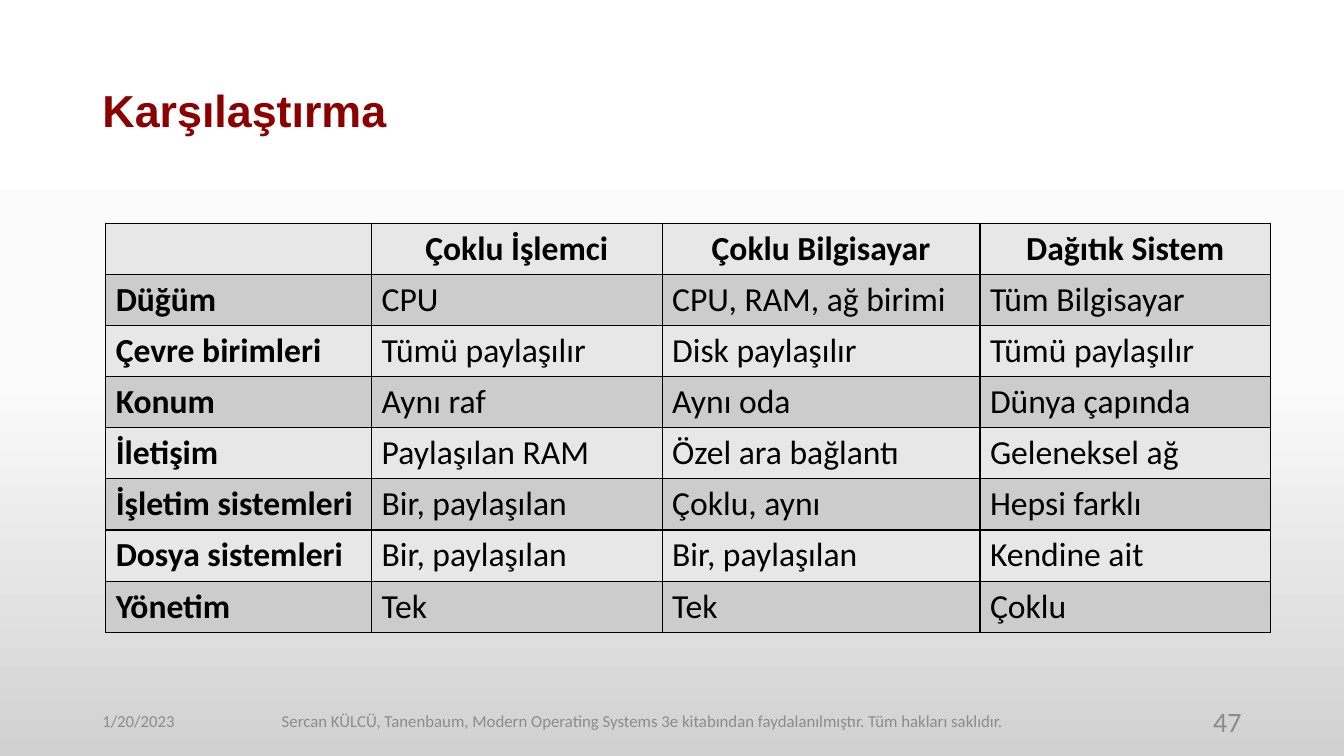
from copy import deepcopy
from itertools import product
from lxml import etree
from pptx import Presentation
from pptx.dml.color import RGBColor
from pptx.enum import text
from pptx.oxml import ns
from pptx.util import Pt

HEADING = "Karşılaştırma"
COMPARISON = [
    ("", "Çoklu İşlemci", "Çoklu Bilgisayar", "Dağıtık Sistem"),
    ("Düğüm", "CPU", "CPU, RAM, ağ birimi", "Tüm Bilgisayar"),
    ("Çevre birimleri", "Tümü paylaşılır", "Disk paylaşılır", "Tümü paylaşılır"),
    ("Konum", "Aynı raf", "Aynı oda", "Dünya çapında"),
    ("İletişim", "Paylaşılan RAM", "Özel ara bağlantı", "Geleneksel ağ"),
    ("İşletim sistemleri", "Bir, paylaşılan", "Çoklu, aynı", "Hepsi farklı"),
    ("Dosya sistemleri", "Bir, paylaşılan", "Bir, paylaşılan", "Kendine ait"),
    ("Yönetim", "Tek", "Tek", "Çoklu"),
]
COLUMN_WIDTHS = [190, 207.5, 227, 207.5]
ROW_HEIGHT = 36.5
BAND_FILLS = ["E7E7E7", "CCCCCC"]
BACKGROUND = [(0, "FFFFFF"), (0.5, "FBFBFB"), (1, "D1D1D1")]
LEFT, CENTER, RIGHT = text.PP_ALIGN.LEFT, text.PP_ALIGN.CENTER, text.PP_ALIGN.RIGHT
FOOTERS = [
    ("1/20/2023", 66, 216, 12, LEFT),
    ("Sercan KÜLCÜ, Tanenbaum, Modern Operating Systems 3e kitabından "
     "faydalanılmıştır. Tüm hakları saklıdır.", 186, 546, 12, CENTER),
    ("47", 678, 216, 20, RIGHT),
]


def color(value):
    return RGBColor.from_string(value)


def write(frame, words, size, ink, align=LEFT, bold=False, face="Calibri"):
    line = frame.paragraphs[0]
    line.text = words
    line.alignment = align
    line.font.size = Pt(size)
    line.font.name = face
    line.font.bold = bold
    line.font.color.rgb = color(ink)
    return line


def add_borders(cell):
    properties = cell._tc.get_or_add_tcPr()
    for side in ("a:lnL", "a:lnR", "a:lnT", "a:lnB"):
        border = etree.SubElement(properties, ns.qn(side), w=str(Pt(1)))
        fill = etree.SubElement(border, ns.qn("a:solidFill"))
        etree.SubElement(fill, ns.qn("a:srgbClr"), val="000000")


deck = Presentation()
deck.slide_width, deck.slide_height = Pt(960), Pt(540)
slide = deck.slides.add_slide(deck.slide_layouts[5])

backdrop = slide.background.fill
backdrop.gradient()
backdrop.gradient_angle = 270
last_stop = slide._element.xpath(".//a:gs")[-1]
last_stop.addnext(deepcopy(last_stop))
for stop, (position, shade) in zip(backdrop.gradient_stops, BACKGROUND):
    stop.position = position
    stop.color.rgb = color(shade)

title = slide.shapes.title
title.left, title.top, title.width, title.height = Pt(66), Pt(28.75), Pt(828), Pt(104.5)
title.text_frame.auto_size = text.MSO_AUTO_SIZE.NONE
title.text_frame.vertical_anchor = text.MSO_ANCHOR.MIDDLE
write(title.text_frame, HEADING, 32, "8C0000", bold=True, face="Arial").line_spacing = 0.9

table = slide.shapes.add_table(
    len(COMPARISON), len(COLUMN_WIDTHS), Pt(75.5), Pt(159.5),
    Pt(sum(COLUMN_WIDTHS)), Pt(ROW_HEIGHT * len(COMPARISON))).table
table.first_row = table.horz_banding = False
for column, width in zip(table.columns, COLUMN_WIDTHS):
    column.width = Pt(width)
for row in table.rows:
    row.height = Pt(ROW_HEIGHT)
for r, c in product(range(len(COMPARISON)), range(len(COLUMN_WIDTHS))):
    cell = table.cell(r, c)
    add_borders(cell)
    cell.fill.solid()
    cell.fill.fore_color.rgb = color(BAND_FILLS[r % 2])
    write(cell.text_frame, COMPARISON[r][c], 24, "000000",
          LEFT if r else CENTER, bold=r == 0 or c == 0)

for words, left, width, size, align in FOOTERS:
    footer = slide.shapes.add_textbox(Pt(left), Pt(500.5), Pt(width), Pt(28.75)).text_frame
    footer.word_wrap = True
    footer.vertical_anchor = text.MSO_ANCHOR.MIDDLE
    write(footer, words, size, "8C8C8C", align)

deck.save("out.pptx")
